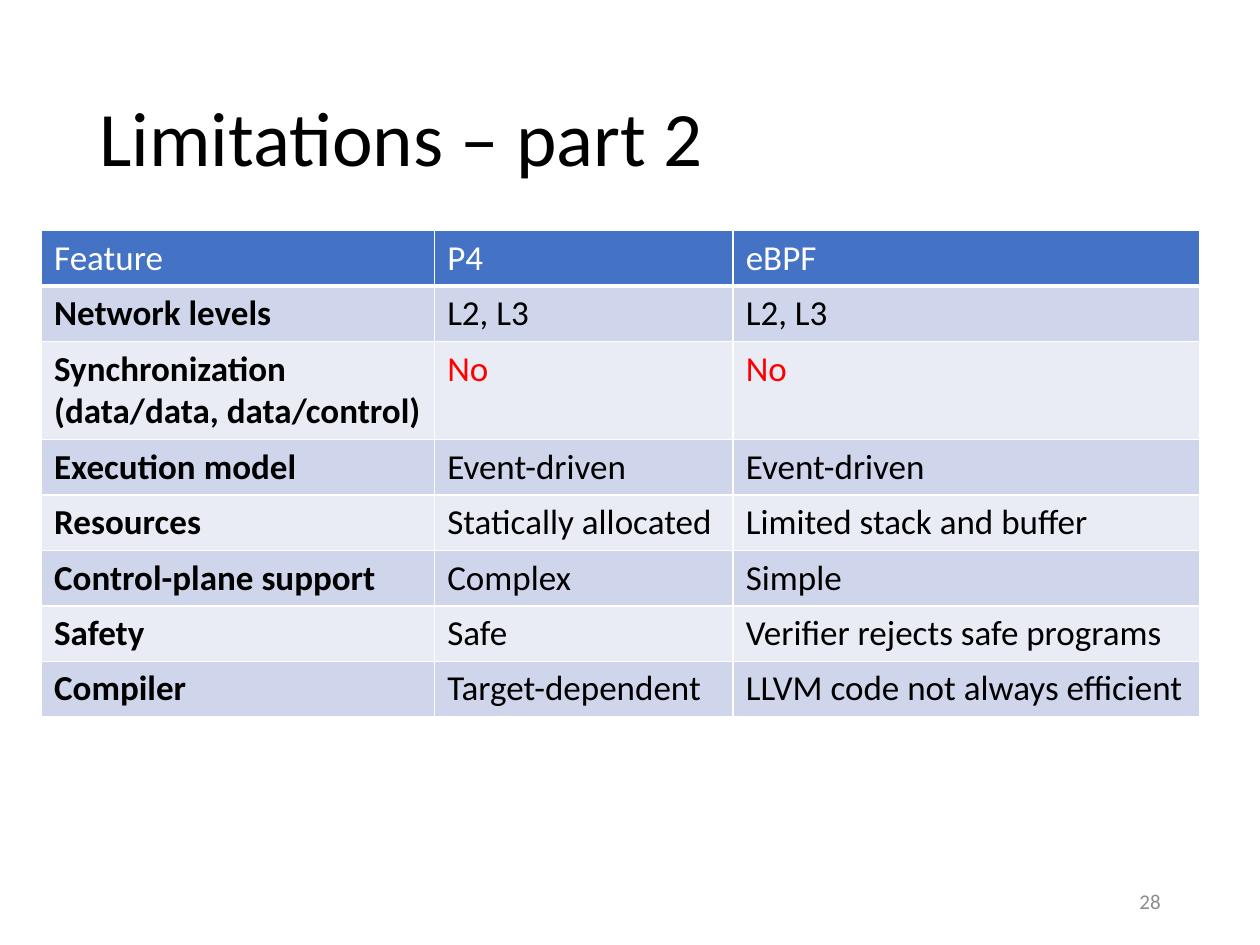
from pptx import Presentation
from pptx import util as u
from pptx.dml.color import RGBColor
from pptx.enum import text
from pptx.oxml import parse_xml
from pptx.oxml.ns import nsdecls

COLORS = {
    "ink": "000000", "paper": "FFFFFF", "header": "4472C4", "odd": "CFD5EA",
    "even": "E9EBF5", "warning": "FF0000", "number": "8C8C8C",
}
FEATURES = [
    ("Feature", "P4", "eBPF"),
    ("Network levels", "L2, L3", "L2, L3"),
    ("Synchronization\n(data/data, data/control)", "No", "No"),
    ("Execution model", "Event-driven", "Event-driven"),
    ("Resources", "Statically allocated", "Limited stack and buffer"),
    ("Control-plane support", "Complex", "Simple"),
    ("Safety", "Safe", "Verifier rejects safe programs"),
    ("Compiler", "Target-dependent", "LLVM code not always efficient"),
]
COLUMN_WIDTHS = (3.12, 2.37, 3.7)
ROW_HEIGHT = 0.44
TALL_ROW_HEIGHT = 0.78


def format_text(frame, color, **font_values):
    for paragraph in frame.paragraphs:
        for name, value in {"name": "Calibri", **font_values}.items():
            setattr(paragraph.font, name, value)
        paragraph.font.color.rgb = RGBColor.from_string(COLORS[color])


def add_label(slide, box, wording, color, size, **paragraph_values):
    label = slide.shapes.add_textbox(*map(u.Inches, box))
    frame = label.text_frame
    frame.word_wrap = True
    frame.vertical_anchor = text.MSO_ANCHOR.MIDDLE
    frame.text = wording
    for name, value in paragraph_values.items():
        setattr(frame.paragraphs[0], name, value)
    format_text(frame, color, size=u.Pt(size))


def add_borders(cell, bottom_width):
    properties = cell._tc.get_or_add_tcPr()
    for side, width in {"L": 1, "R": 1, "T": 1, "B": bottom_width}.items():
        properties.append(parse_xml(
            f'<a:ln{side} {nsdecls("a")} w="{u.Pt(width)}"><a:solidFill>'
            f'<a:srgbClr val="{COLORS["paper"]}"/></a:solidFill></a:ln{side}>'))


def fill_cell(cell, wording, row, column):
    header = row == 0
    add_borders(cell, 3 if header else 1)
    band = "header" if header else "odd" if row % 2 else "even"
    cell.fill.solid()
    cell.fill.fore_color.rgb = RGBColor.from_string(COLORS[band])
    cell.text_frame.text = wording
    color = "paper" if header else "warning" if wording == "No" else "ink"
    format_text(cell.text_frame, color, size=u.Pt(20),
                bold=not header and column == 0)


def add_comparison(slide):
    heights = [TALL_ROW_HEIGHT if "\n" in feature[0] else ROW_HEIGHT
               for feature in FEATURES]
    box = (0.33, 1.83, sum(COLUMN_WIDTHS), sum(heights))
    comparison = slide.shapes.add_table(
        len(FEATURES), len(COLUMN_WIDTHS), *map(u.Inches, box)).table
    for column, width in zip(comparison.columns, COLUMN_WIDTHS):
        column.width = u.Inches(width)
    for row, (feature, height) in enumerate(zip(FEATURES, heights)):
        comparison.rows[row].height = u.Inches(height)
        for column, wording in enumerate(feature):
            fill_cell(comparison.cell(row, column), wording, row, column)


def main():
    deck = Presentation()
    deck.slide_width, deck.slide_height = u.Inches(10), u.Inches(7.5)
    slide = deck.slides.add_slide(deck.slide_layouts[6])
    add_label(slide, (0.69, 0.4, 8.62, 1.45), "Limitations – part 2",
              "ink", 44, line_spacing=0.9)
    add_comparison(slide)
    add_label(slide, (7.06, 6.95, 2.25, 0.4), "28", "number", 12,
              alignment=text.PP_ALIGN.RIGHT)
    deck.save("out.pptx")


if __name__ == "__main__":
    main()
